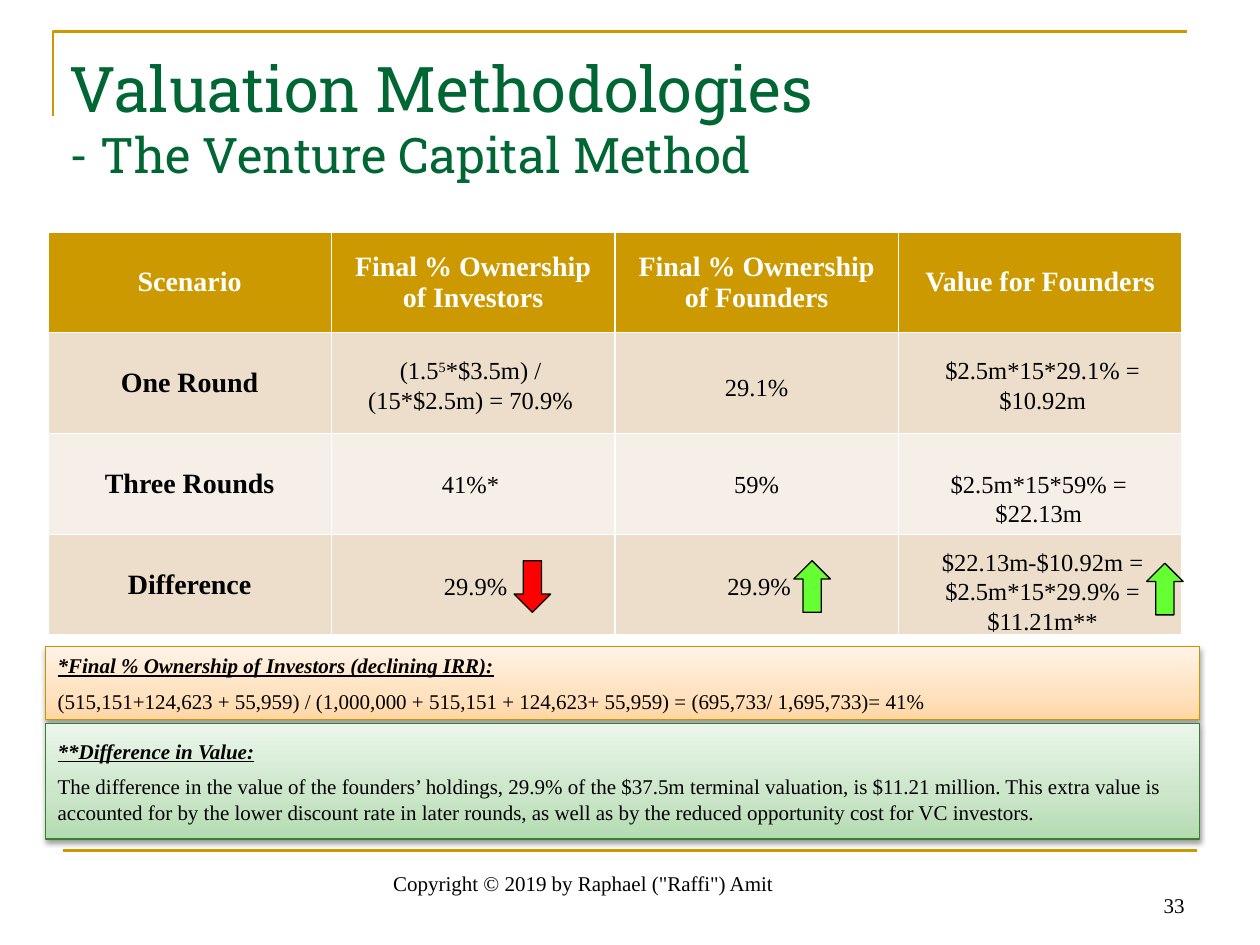
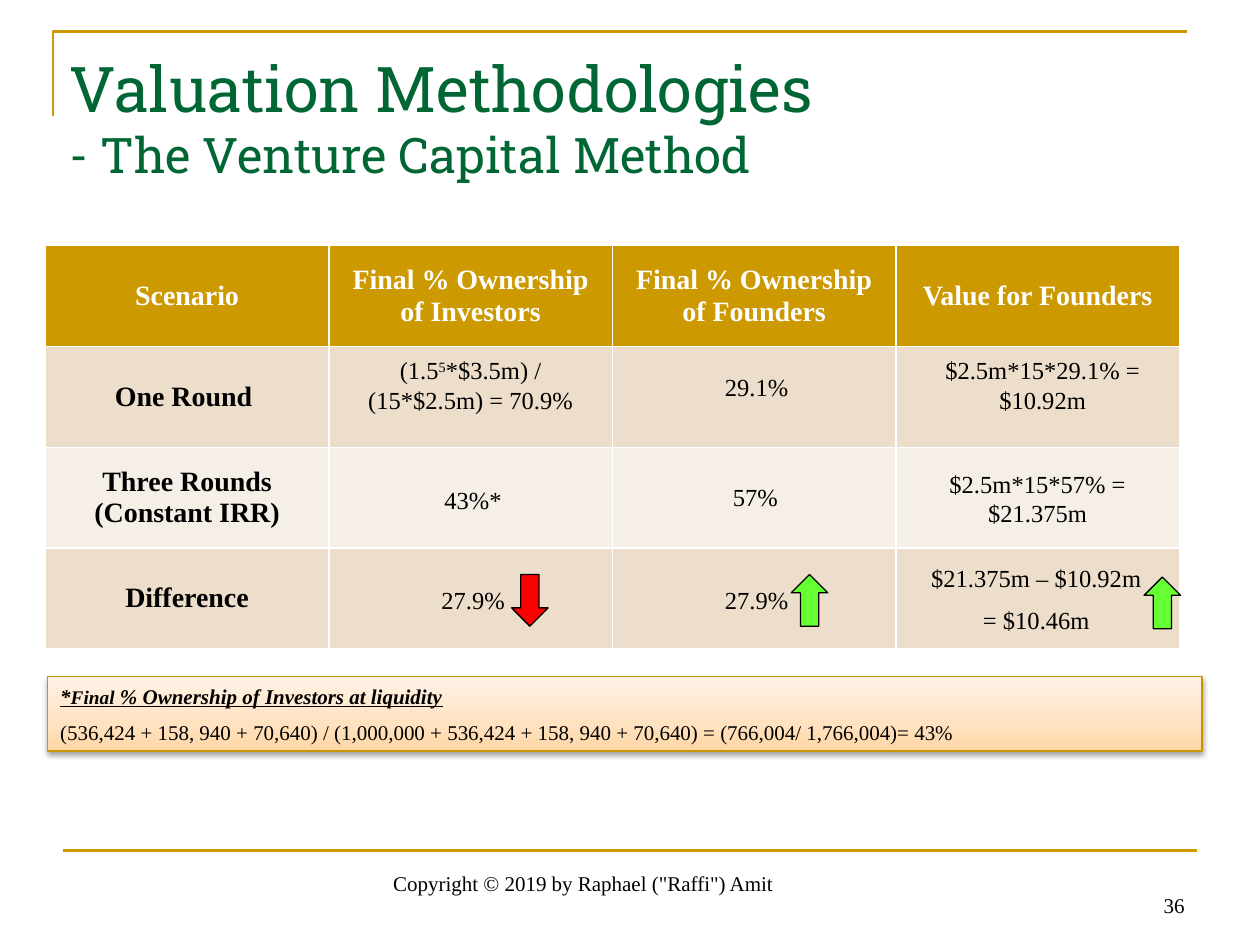
"""Build two venture capital valuation slides that compare funding scenarios."""
from lxml.etree import SubElement
from pptx import Presentation
from pptx.dml.color import RGBColor
from pptx.enum.shapes import MSO_CONNECTOR, MSO_SHAPE
from pptx.enum.text import MSO_ANCHOR, MSO_AUTO_SIZE, PP_ALIGN
from pptx.oxml import parse_xml
from pptx.oxml.ns import nsdecls, qn
from pptx.util import Inches, Pt

COLORS = {
    "gold": "CC9900", "title": "006633", "text": "000000", "white": "FFFFFF",
    "band": "ECDECB", "light band": "F6EFE7", "fall": "FF0000", "rise": "66FF33",
}
NOTE_STYLES = {
    "orange": {"line": "C89600", "stops": {0: "FFD6A5", 35: "FFE2BF", 100: "FFF3E7"}},
    "green": {"line": "38802C", "stops": {0: "B3DBB0", 35: "CAE5C8", 100: "EBF6EA"}},
}
TITLE_FONT, BODY_FONT = "Roboto Slab", "Times New Roman"
COLUMN_WIDTH, ROW_HEIGHT = 2.25, 0.8
FIGURE_LEFT, FIGURE_WIDTH = 2.6, 2.27
NOTE_WIDTH = 9.16
HEADINGS = ["Scenario", "Final % Ownership of Investors",
            "Final % Ownership of Founders", "Value for Founders"]
ARROWS = [(MSO_SHAPE.DOWN_ARROW, "fall", 3.7, 2.61),
          (MSO_SHAPE.UP_ARROW, "rise", 5.92, 2.61),
          (MSO_SHAPE.UP_ARROW, "rise", 8.72, 2.63)]
ONE_ROUND_FIGURES = [
    (0, 0, 2.77, ["(1.5^5^*$3.5m) / (15*$2.5m) = 70.9%"]),
    (1, 0, 2.9, ["29.1%"]),
    (2, 0, 2.77, ["$2.5m*15*29.1% = $10.92m"]),
]
SLIDES = [
    {
        "number": 33,
        "table at": (0.38, 1.84),
        "scenarios": [["One Round"], ["Three Rounds"], ["Difference"]],
        "figures": ONE_ROUND_FIGURES + [
            (0, 0, 3.67, ["41%*"]),
            (1, 0, 3.67, ["59%"]),
            (2, -0.03, 3.67, ["$2.5m*15*59% = $22.13m"]),
            (0, 0.04, 4.48, ["29.9%"]),
            (1, 0.02, 4.48, ["29.9%"]),
            (2, 0, 4.29, ["$22.13m-$10.92m = $2.5m*15*29.9% = $11.21m**"]),
        ],
        "notes": [
            ("orange", 0.36, 5.13, 0.58,
             [("*Final % Ownership of Investors (declining IRR):", 12)],
             "(515,151+124,623 + 55,959) / (1,000,000 + 515,151 + 124,623+ 55,959) = "
             "(695,733/ 1,695,733)= 41%"),
            ("green", 0.36, 5.74, 0.92,
             [("**Difference in Value:", 12)],
             "The difference in the value of the founders’ holdings, 29.9% of the $37.5m "
             "terminal valuation, is $11.21 million. This extra value is accounted for by "
             "the lower discount rate in later rounds, as well as by the reduced "
             "opportunity cost for VC investors."),
        ],
    },
    {
        "number": 36,
        "table at": (0.36, 1.95),
        "scenarios": [["One Round "], ["Three Rounds", "(Constant IRR)"], ["Difference"]],
        "figures": ONE_ROUND_FIGURES + [
            (0, 0.02, 3.8, ["43%*"]),
            (1, -0.01, 3.78, ["57%"]),
            (2, -0.04, 3.67, ["$2.5m*15*57% = $21.375m"]),
            (0, 0.02, 4.59, ["27.9%"]),
            (1, 0, 4.59, ["27.9%"]),
            (2, -0.05, 4.42, ["$21.375m – $10.92m", "= $10.46m"]),
        ],
        "notes": [
            ("orange", 0.38, 5.37, 0.59,
             [("*", 12), ("Final", 11), (" % Ownership of Investors at liquidity", 12)],
             "(536,424 + 158, 940 + 70,640) / (1,000,000 + 536,424 + 158, 940 + 70,640) = "
             "(766,004/ 1,766,004)= 43%"),
        ],
    },
]


def write_lines(frame, lines, size, align, color="text", bold=False):
    """Fill a text frame with paragraphs; text between carets is superscript."""
    frame.word_wrap = True
    for index, line in enumerate(lines):
        para = frame.paragraphs[0] if index == 0 else frame.add_paragraph()
        para.alignment = align
        para.font.name, para.font.size, para.font.bold = BODY_FONT, Pt(size), bold
        para.font.color.rgb = RGBColor.from_string(COLORS[color])
        for position, piece in enumerate(line.split("^")):
            span = para.add_run()
            span.text = piece
            if position % 2:
                span._r.get_or_add_rPr().set("baseline", "30000")


def add_text(page, left, top, width, height, lines, size, align, anchor=MSO_ANCHOR.TOP):
    """Add a text box whose later paragraphs stand half a line apart."""
    box = page.shapes.add_textbox(Inches(left), Inches(top), Inches(width), Inches(height))
    box.text_frame.vertical_anchor = anchor
    write_lines(box.text_frame, lines, size, align)
    for para in box.text_frame.paragraphs[1:]:
        para.space_before = Pt(size / 2)


deck = Presentation()
deck.slide_width, deck.slide_height = Inches(10), Inches(7.5)

for content in SLIDES:
    page = deck.slides.add_slide(deck.slide_layouts[5])

    outline = page.shapes.build_freeform(Inches(0.42), Inches(0.92))
    outline.add_line_segments(
        [(Inches(0.42), Inches(0.25)), (Inches(9.42), Inches(0.25))], close=False)
    corner = outline.convert_to_shape()
    corner.fill.background()
    corner.shadow.inherit = False
    rule = page.shapes.add_connector(
        MSO_CONNECTOR.STRAIGHT, Inches(0.5), Inches(6.75), Inches(9.5), Inches(6.75))
    SubElement(rule._element.spPr, qn("a:effectLst"))
    for stroke in (corner, rule):
        stroke.line.color.rgb = RGBColor.from_string(COLORS["gold"])
        stroke.line.width = Pt(1.5)

    title = page.shapes.title
    title.left, title.top = Inches(0.45), Inches(0.34)
    title.width, title.height = Inches(9), Inches(1.29)
    title.text_frame.auto_size = MSO_AUTO_SIZE.NONE
    title.text_frame.vertical_anchor = MSO_ANCHOR.TOP
    para = title.text_frame.paragraphs[0]
    para.alignment = PP_ALIGN.LEFT
    para.font.name = TITLE_FONT
    para.font.color.rgb = RGBColor.from_string(COLORS["title"])
    span = para.add_run()
    span.text, span.font.size = "Valuation Methodologies", Pt(36)
    para.add_line_break()
    span = para.add_run()
    span.text, span.font.size = "- The Venture Capital Method", Pt(28)

    add_text(page, 2.51, 6.8, 4.24, 0.36, ['Copyright © 2019 by Raphael ("Raffi") Amit'],
             12, PP_ALIGN.CENTER, MSO_ANCHOR.BOTTOM)
    add_text(page, 7.17, 6.83, 2.33, 0.5, [str(content["number"])],
             12, PP_ALIGN.RIGHT, MSO_ANCHOR.BOTTOM)

    table_left, table_top = content["table at"]
    row_count, column_count = len(content["scenarios"]) + 1, len(HEADINGS)
    table = page.shapes.add_table(
        row_count, column_count, Inches(table_left), Inches(table_top),
        Inches(column_count * COLUMN_WIDTH), Inches(row_count * ROW_HEIGHT)).table
    for row in range(row_count):
        band = "gold" if row == 0 else "band" if row % 2 else "light band"
        for column in range(column_count):
            cell = table.cell(row, column)
            cell.fill.solid()
            cell.fill.fore_color.rgb = RGBColor.from_string(COLORS[band])
            cell.vertical_anchor = MSO_ANCHOR.MIDDLE
            if row == 0:
                write_lines(cell.text_frame, [HEADINGS[column]], 16,
                            PP_ALIGN.CENTER, "white", True)
            elif column == 0:
                write_lines(cell.text_frame, content["scenarios"][row - 1], 16,
                            PP_ALIGN.CENTER, "text", True)

    for column, nudge, top, lines in content["figures"]:
        left = FIGURE_LEFT + column * FIGURE_WIDTH + nudge
        add_text(page, left, top, FIGURE_WIDTH, 0.34, lines, 14, PP_ALIGN.CENTER)

    for preset, color, across, down in ARROWS:
        arrow = page.shapes.add_shape(
            preset, Inches(table_left + across), Inches(table_top + down),
            Inches(0.29), Inches(0.41))
        arrow.shadow.inherit = False
        arrow.fill.solid()
        arrow.fill.fore_color.rgb = RGBColor.from_string(COLORS[color])
        arrow.line.color.rgb = RGBColor.from_string(COLORS["text"])
        arrow.line.width = Pt(0.75)

    for style_name, left, top, height, heading, body in content["notes"]:
        style = NOTE_STYLES[style_name]
        note = page.shapes.add_shape(
            MSO_SHAPE.RECTANGLE, Inches(left), Inches(top), Inches(NOTE_WIDTH), Inches(height))
        note.line.color.rgb = RGBColor.from_string(style["line"])
        note.line.width = Pt(0.75)
        stops = "".join(
            f'<a:gs pos="{share * 1000}"><a:srgbClr val="{color}"/></a:gs>'
            for share, color in style["stops"].items())
        properties = note._element.spPr
        properties.find(qn("a:ln")).addprevious(parse_xml(
            f'<a:gradFill {nsdecls("a")} rotWithShape="1"><a:gsLst>{stops}</a:gsLst>'
            '<a:lin ang="16200000" scaled="0"/></a:gradFill>'))
        properties.append(parse_xml(
            f'<a:effectLst {nsdecls("a")}><a:outerShdw blurRad="{Pt(3.1)}" dist="{Pt(1.6)}" '
            'dir="5400000" rotWithShape="0"><a:srgbClr val="000000"><a:alpha val="38000"/>'
            '</a:srgbClr></a:outerShdw></a:effectLst>'))
        frame = note.text_frame
        frame.vertical_anchor = MSO_ANCHOR.MIDDLE
        write_lines(frame, ["", body], 12, PP_ALIGN.LEFT)
        heading_para, body_para = frame.paragraphs
        body_para.space_before = Pt(6)
        heading_para.clear()
        heading_para.font.bold = heading_para.font.italic = True
        heading_para.font.underline = True
        for text, size in heading:
            span = heading_para.add_run()
            span.text, span.font.size = text, Pt(size)

deck.save("out.pptx")
